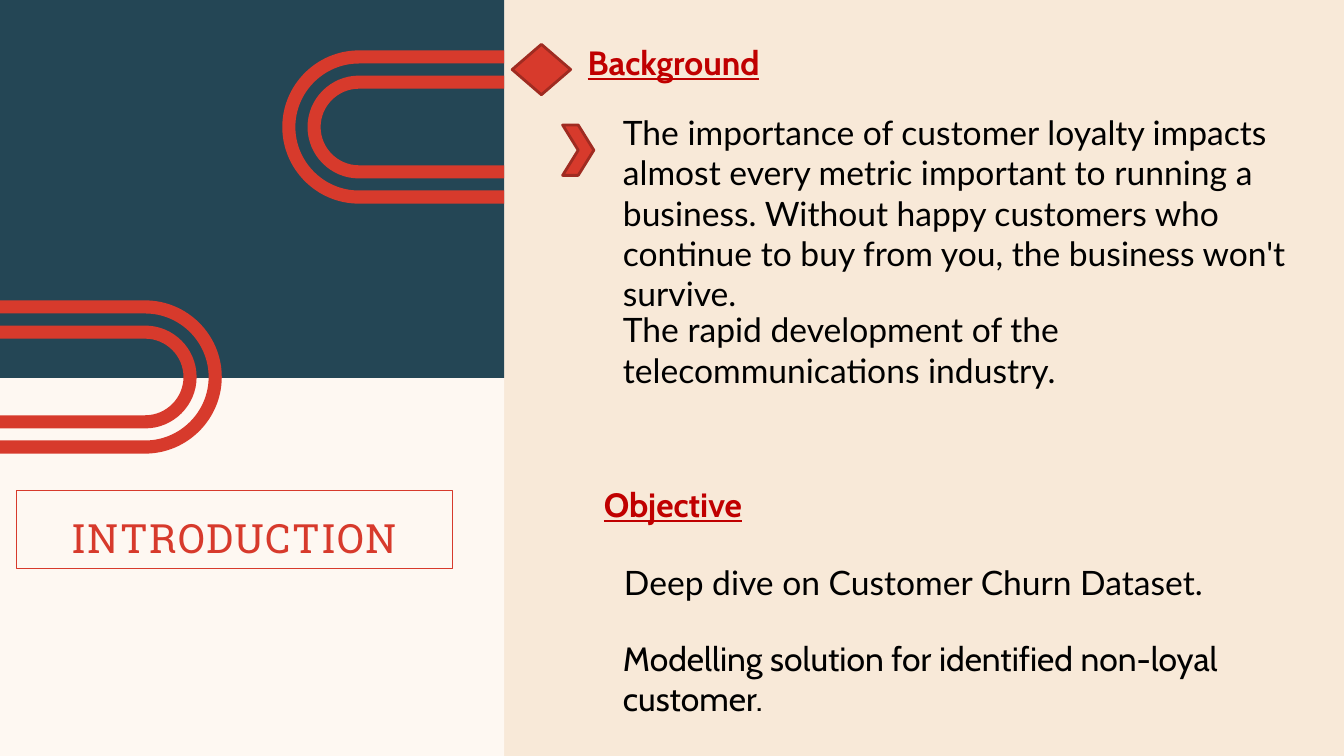
from lxml.etree import Element, SubElement
from pptx import Presentation
from pptx.dml.color import RGBColor
from pptx.enum.shapes import MSO_SHAPE as Shape
from pptx.enum.text import MSO_ANCHOR as Anchor, MSO_AUTO_SIZE as Fit, PP_ALIGN as Align
from pptx.oxml.ns import qn
from pptx.util import Inches, Pt

CREAM, NAVY, SAND = "FEF8F2", "244655", "F8E9D8"
RED, RUST, CRIMSON, BLACK = "D73A2C", "9F2B21", "C00000", "000000"


def paint(fmt, color):
    fmt.solid()
    fmt.fore_color.rgb = RGBColor.from_string(color)


def dress(shape, fill, line=None):
    shape.shadow.inherit = False
    paint(shape.fill, fill)
    if line:
        paint(shape.line.fill, line)
        shape.line.width = Pt(2)
    else:
        shape.line.fill.background()


def add_box(slide, kind, box, fill, line=None):
    shape = slide.shapes.add_shape(kind, *map(Inches, box))
    dress(shape, fill, line)


def bend(line, start, corner, end):
    """Turn a straight segment into a quarter circle."""
    curve = Element(qn("a:cubicBezTo"))
    pulls = [[round(a + 0.55 * (c - a)) for a, c in zip(tip, corner)]
             for tip in (start, end)]
    for x, y in (*pulls, end):
        SubElement(curve, qn("a:pt"), x=str(x), y=str(y))
    line.getparent().replace(line, curve)


def add_band(slide, x, y, edge, outer, inner):
    """Draw a U-shaped band centred at x, y with both ends at edge."""
    side = 1 if x > edge else -1
    points = []
    for r, way in ((outer, 1), (inner, -1)):
        points += [(edge, y - way * r), (x, y - way * r), (x + side * r, y),
                   (x, y + way * r), (edge, y + way * r)]
    points = [(Inches(px), Inches(py)) for px, py in points]
    form = slide.shapes.build_freeform(*points[0], scale=1.0)
    form.add_line_segments(points[1:], close=True)
    shape = form.convert_to_shape()
    dress(shape, RED)

    # Round the outer and inner ends
    lines = list(shape._element.iter(qn("a:lnTo")))
    spots = [(int(line[0].get("x")), int(line[0].get("y"))) for line in lines]
    for i in (0, 5):
        top, tip, base = spots[i:i + 3]
        bend(lines[i + 1], top, (tip[0], top[1]), tip)
        bend(lines[i + 2], tip, (tip[0], base[1]), base)


def style(font, name, size, color):
    font.name, font.size = name, Pt(size)
    font.color.rgb = RGBColor.from_string(color)


def add_title(slide, text, box):
    title = slide.shapes.title
    slide.shapes._spTree.append(title._element)  # bring in front of the panel
    title.left, title.top, title.width, title.height = map(Inches, box)
    paint(title.line.fill, RED)
    title.line.width = Pt(0.75)
    frame = title.text_frame
    frame.text = text
    frame.auto_size = Fit.NONE
    frame.vertical_anchor = Anchor.BOTTOM
    frame.margin_left = frame.margin_right = Inches(0.13)
    frame.margin_top = frame.margin_bottom = Inches(0.07)
    para = frame.paragraphs[0]
    para.alignment, para.line_spacing = Align.CENTER, Pt(60)
    run = para.runs[0]
    style(run.font, "Roboto Slab", 28.8, RED)
    run.font._element.set("spc", "100")


def add_text(slide, text, box, face="Lato", indent=0):
    frame = slide.shapes.add_textbox(*map(Inches, box)).text_frame
    frame.word_wrap = True
    frame.auto_size = Fit.SHAPE_TO_FIT_TEXT
    frame.text = text
    para = frame.paragraphs[0]
    if indent:
        para.level = 1
        props = para._p.get_or_add_pPr()
        props.set("marL", str(Inches(indent)))
        props.set("indent", "0")
    font = para.runs[0].font
    style(font, face, 24, BLACK)
    return font


def add_head(slide, text, x, y):
    font = add_text(slide, text, (x, y, 4.14, 0.5), "Cabin")
    font.bold = font.underline = True
    font.color.rgb = RGBColor.from_string(CRIMSON)


def main():
    deck = Presentation()
    deck.slide_width, deck.slide_height = Inches(13.33), Inches(7.5)
    slide = deck.slides.add_slide(deck.slide_layouts[5])
    paint(slide.background.fill, SAND)

    # Left panel with its bands
    add_box(slide, Shape.RECTANGLE, (0, 0, 5, 7.5), CREAM)
    add_box(slide, Shape.RECTANGLE, (0, 0, 5, 3.75), NAVY)
    for x, y, edge in ((1.44, 3.74, 0), (3.56, 1.26, 5)):
        for outer in (0.76, 0.51):
            add_band(slide, x, y, edge, outer, outer - 0.13)
    add_title(slide, "INTRODUCTION", (0.16, 4.87, 4.33, 0.77))

    # Background
    add_box(slide, Shape.FLOWCHART_DECISION, (5.08, 0.44, 0.58, 0.5), RED, RUST)
    add_head(slide, "Background", 5.73, 0.37)
    add_box(slide, Shape.CHEVRON, (5.58, 1.24, 0.31, 0.5), RED, RUST)
    add_text(slide, "The importance of customer loyalty impacts almost every metric "
             "important to running a business. Without happy customers who continue "
             "to buy from you, the business won't survive.", (6.08, 1.06, 7.08, 1.72))
    add_text(slide, "The rapid development of the telecommunications industry.",
             (6.08, 3.02, 7.08, 0.91))

    # Objective
    add_head(slide, "Objective", 5.89, 4.75)
    add_text(slide, "Deep dive on Customer Churn Dataset.", (6.09, 5.53, 7.08, 0.5))
    add_text(slide, "Modelling solution for identified non-loyal customer.",
             (5.41, 6.28, 7.78, 0.91), "Cabin", 0.67)

    deck.save("out.pptx")


if __name__ == "__main__":
    main()
